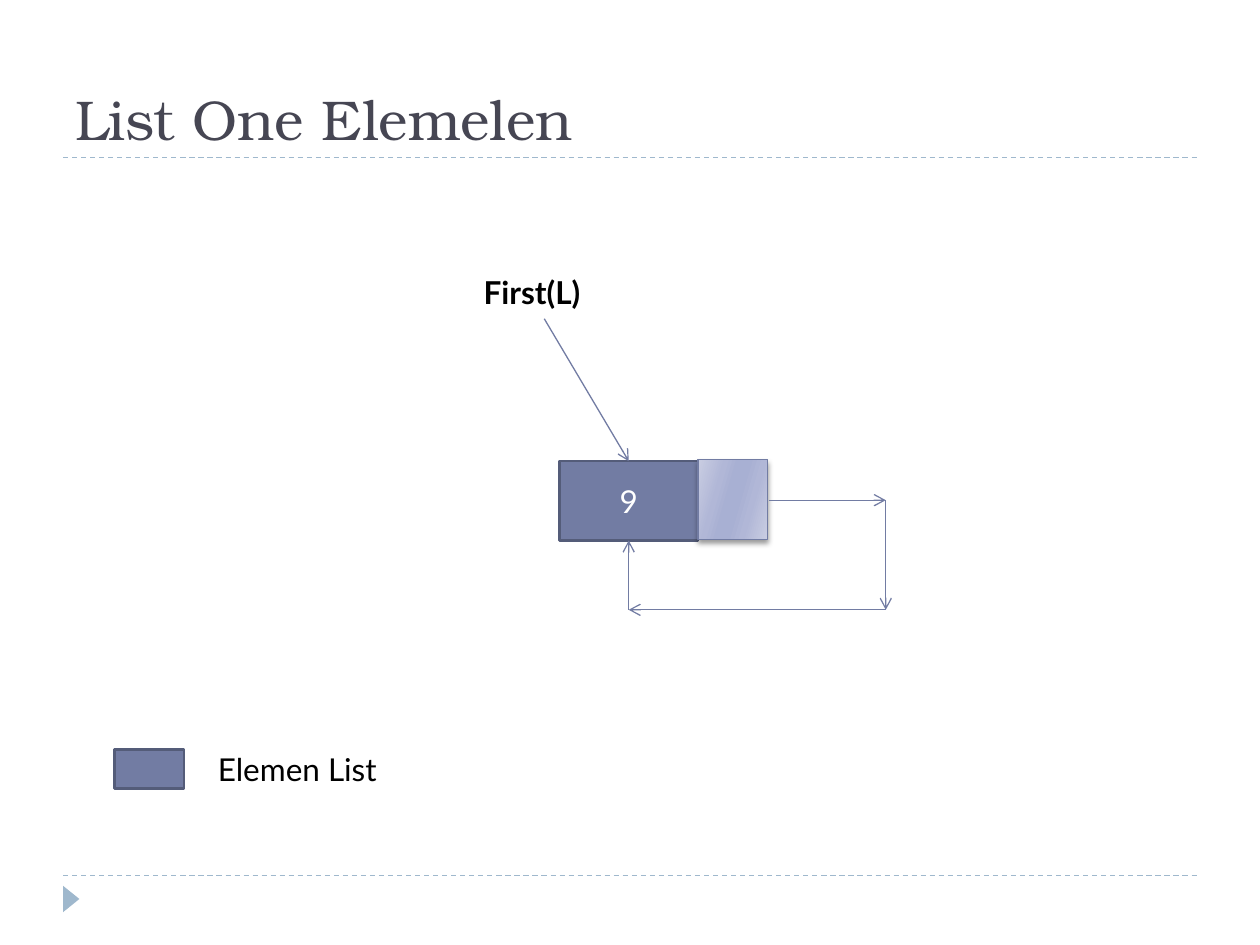
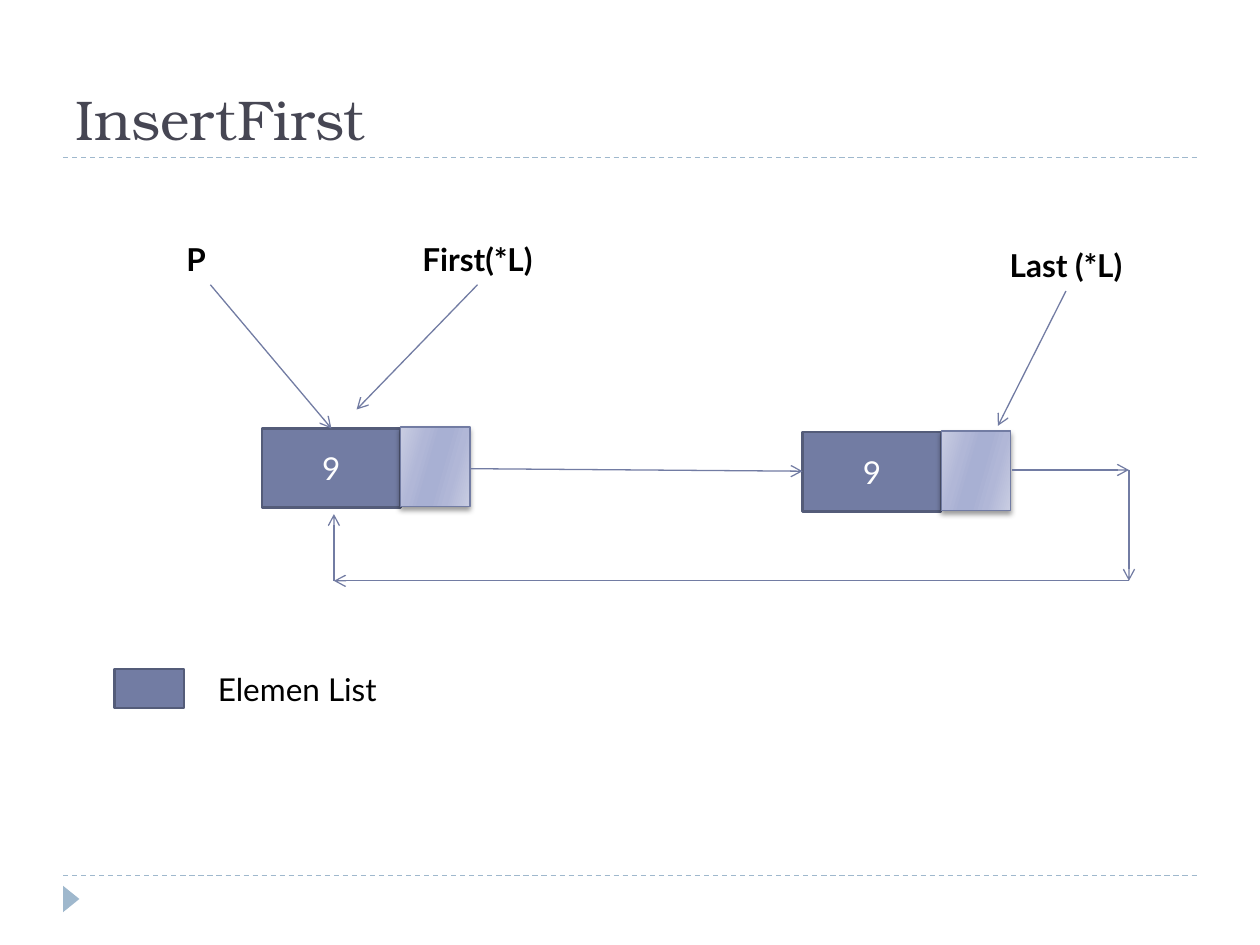
"""Builds two slides that explain circular linked lists with node diagrams."""
import dataclasses
import itertools

import pptx
import pptx.dml.color
import pptx.enum.dml
import pptx.enum.shapes
import pptx.enum.text
import pptx.oxml
import pptx.oxml.ns
import pptx.util

Inches = pptx.util.Inches
Pt = pptx.util.Pt
SHAPES = pptx.enum.shapes.MSO_SHAPE
ALIGN = pptx.enum.text.PP_ALIGN
ANCHOR = pptx.enum.text.MSO_ANCHOR


@dataclasses.dataclass(frozen=True)
class Theme:
    heading_font: str = "TeX Gyre Bonum"
    body_font: str = "Lato"
    title_size: int = 32
    body_size: int = 18
    title: str = "464653"
    text: str = "000000"
    node_text: str = "FFFFFF"
    node: str = "727CA3"
    node_edge: str = "545C79"
    trim: str = "9FB8CD"
    thin: float = 0.75
    thick: float = 1.5
    pointer_stops: tuple = ((0, "C9CDE2"), (30, "B1B7D7"), (45, "A8B0D3"),
                            (55, "A8B0D3"), (73, "B1B7D7"), (100, "C9CDE2"))
    pointer_angle: int = 16


THEME = Theme()
RULES = (6.95, 1.25)
RULE_SPAN = (0.5, 9.5)
TITLE_BOX = (0.5, 0.17, 9, 1.08)
MARKER_BOX = (0.46, 7.07, 0.21, 0.13)
VALUE_SIZE = (1.1, 0.63)
POINTER_SIZE = (0.55, 0.63)
KEY_SIZE = (0.55, 0.31)
LABEL_HEIGHT = 0.4
KEY_LEFT, KEY_LABEL_LEFT, KEY_LABEL_WIDTH = 0.91, 1.63, 1.65

SLIDES = [
    {
        "title": "List One Elemelen",
        "nodes": [("9", 4.44, 3.66)],
        "labels": [("First(L)", 3.74, 2.12, 1.15, ALIGN.LEFT)],
        "arrows": [
            [(4.32, 2.53), (4.99, 3.66)],
            [(6.1, 3.97), (7.03, 3.97), (7.03, 4.84), (4.99, 4.84), (4.99, 4.29)],
        ],
        "key": ("Elemen List", 5.95),
    },
    {
        "title": "InsertFirst",
        "nodes": [("9", 2.08, 3.4), ("9", 6.37, 3.43)],
        "labels": [
            ("P", 1.38, 1.86, 0.58, ALIGN.LEFT),
            ("First(*L)", 3.02, 1.86, 1.54, ALIGN.CENTER),
            ("Last (*L)", 7.75, 1.9, 1.42, ALIGN.CENTER),
        ],
        "arrows": [
            [(1.67, 2.26), (2.63, 3.4)],
            [(3.79, 2.26), (2.83, 3.25)],
            [(8.46, 2.31), (7.92, 3.38)],
            [(3.73, 3.72), (6.37, 3.74)],
            [(8.03, 3.73), (8.96, 3.73), (8.96, 4.61), (2.65, 4.61), (2.65, 4.08)],
        ],
        "key": ("Elemen List", 5.31),
    },
]


def rgb(value):
    return pptx.dml.color.RGBColor.from_string(value)


def element(markup):
    namespace = pptx.oxml.ns.nsdecls("a")
    return pptx.oxml.parse_xml(markup.replace(">", f" {namespace}>", 1))


def write(shape, text, font, size, color, align, anchor, bold=False):
    frame = shape.text_frame
    frame.word_wrap = True
    frame.vertical_anchor = anchor
    paragraph = frame.paragraphs[0]
    paragraph.text = text
    paragraph.alignment = align
    paragraph.font.name = font
    paragraph.font.size = Pt(size)
    paragraph.font.bold = bold
    paragraph.font.color.rgb = rgb(color)


def add_box(slide, box, fill, edge=None, width=THEME.thick, kind=SHAPES.RECTANGLE):
    shape = slide.shapes.add_shape(kind, *map(Inches, box))
    shape.shadow.inherit = False
    shape.fill.solid()
    shape.fill.fore_color.rgb = rgb(fill)
    if edge:
        shape.line.color.rgb = rgb(edge)
        shape.line.width = Pt(width)
    else:
        shape.line.fill.background()
    return shape


def add_line(slide, start, end, color):
    line = slide.shapes.add_connector(
        pptx.enum.shapes.MSO_CONNECTOR.STRAIGHT, *map(Inches, (*start, *end)))
    line.line.color.rgb = rgb(color)
    line.line.width = Pt(THEME.thin)
    line._element.spPr.append(element("<a:effectLst></a:effectLst>"))
    return line


def add_label(slide, text, left, top, width, align, bold):
    label = slide.shapes.add_textbox(*map(Inches, (left, top, width, LABEL_HEIGHT)))
    write(label, text, THEME.body_font, THEME.body_size, THEME.text, align, ANCHOR.TOP, bold)
    label.text_frame.auto_size = pptx.enum.text.MSO_AUTO_SIZE.SHAPE_TO_FIT_TEXT


def add_node(slide, value, left, top):
    cell = add_box(slide, (left, top, *VALUE_SIZE), THEME.node, THEME.node_edge)
    write(cell, value, THEME.body_font, THEME.body_size, THEME.node_text,
          ALIGN.CENTER, ANCHOR.MIDDLE)
    pointer = add_box(slide, (left + VALUE_SIZE[0], top - 0.01, *POINTER_SIZE),
                      THEME.node, THEME.node, THEME.thin)
    stops = "".join(f'<a:gs pos="{at * 1000}"><a:srgbClr val="{color}"/></a:gs>'
                    for at, color in THEME.pointer_stops)
    properties = pointer._element.spPr
    solid = properties.find(pptx.oxml.ns.qn("a:solidFill"))
    properties.replace(solid, element(
        f'<a:gradFill><a:gsLst>{stops}</a:gsLst>'
        f'<a:lin ang="{THEME.pointer_angle * 60000}" scaled="0"/></a:gradFill>'))
    properties.find(pptx.oxml.ns.qn("a:effectLst")).append(element(
        f'<a:outerShdw blurRad="{Pt(3)}" dist="{Pt(2)}" dir="5400000" rotWithShape="0">'
        '<a:srgbClr val="000000"><a:alpha val="40000"/></a:srgbClr></a:outerShdw>'))


def add_arrows(slide, points):
    for start, end in itertools.pairwise(points):
        arrow = add_line(slide, start, end, THEME.node)
        arrow.line._get_or_add_ln().append(element('<a:tailEnd type="arrow"></a:tailEnd>'))


def add_frame(slide, title):
    for height in RULES:
        rule = add_line(slide, (RULE_SPAN[0], height), (RULE_SPAN[1], height), THEME.trim)
        rule.line.dash_style = pptx.enum.dml.MSO_LINE.DASH
    marker = add_box(slide, MARKER_BOX, THEME.trim, kind=SHAPES.ISOSCELES_TRIANGLE)
    marker.rotation = 90
    heading = slide.shapes.add_textbox(*map(Inches, TITLE_BOX))
    write(heading, title, THEME.heading_font, THEME.title_size, THEME.title,
          ALIGN.LEFT, ANCHOR.BOTTOM)


def add_key(slide, text, top):
    add_box(slide, (KEY_LEFT, top, *KEY_SIZE), THEME.node, THEME.node_edge)
    label_top = top + (KEY_SIZE[1] - LABEL_HEIGHT) / 2
    add_label(slide, text, KEY_LABEL_LEFT, label_top, KEY_LABEL_WIDTH, ALIGN.LEFT, False)


deck = pptx.Presentation()
deck.slide_width, deck.slide_height = Inches(10), Inches(7.5)
for content in SLIDES:
    slide = deck.slides.add_slide(deck.slide_layouts[6])
    add_frame(slide, content["title"])
    for node in content["nodes"]:
        add_node(slide, *node)
    for label in content["labels"]:
        add_label(slide, *label, True)
    for points in content["arrows"]:
        add_arrows(slide, points)
    add_key(slide, *content["key"])
deck.save("out.pptx")
